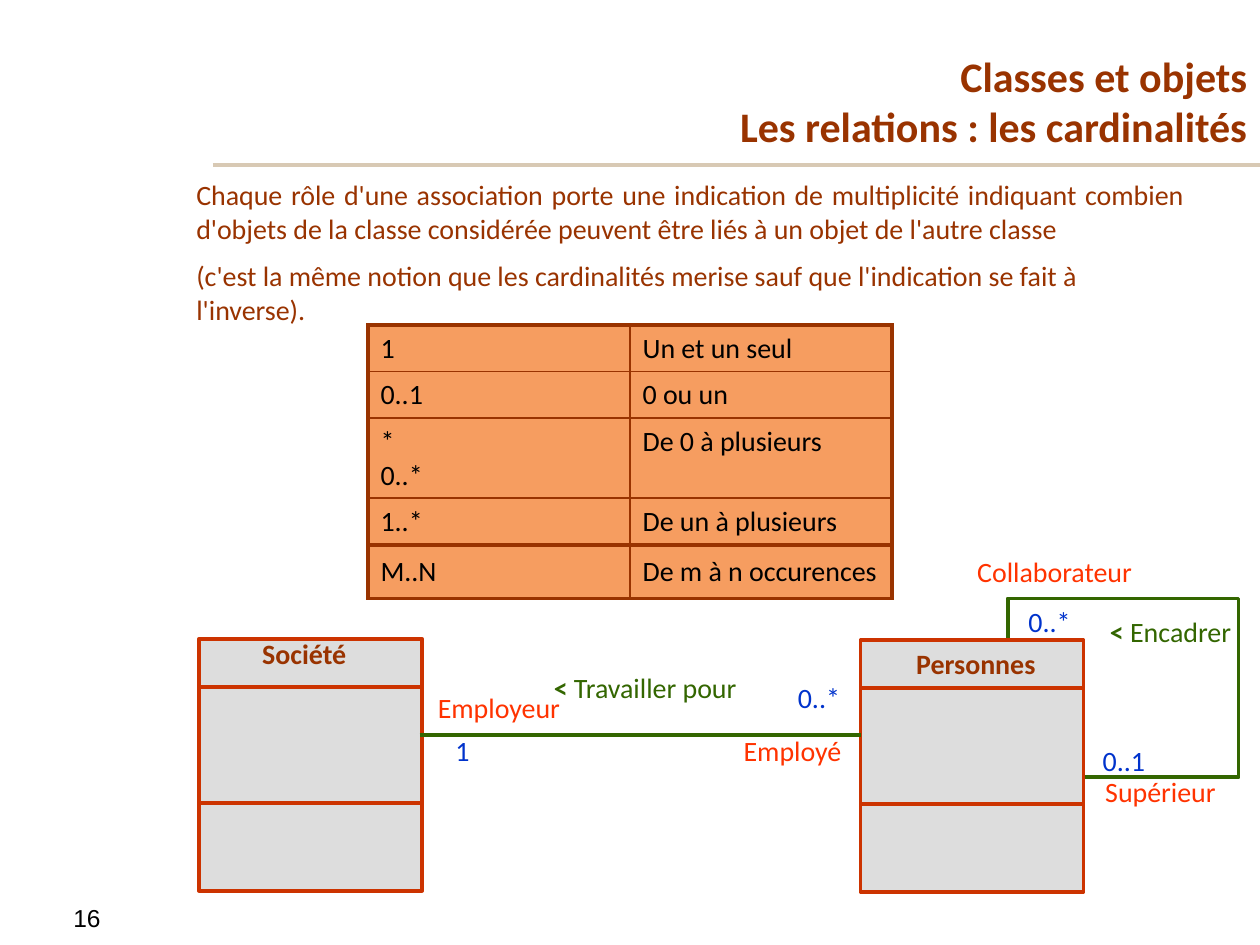
from lxml import etree
from pptx import Presentation
from pptx.dml.color import RGBColor
from pptx.enum import shapes, text
from pptx.oxml.ns import qn
from pptx.util import Inches, Pt

COLORS = {
    "rule": "D8C9B4", "brown": "993300", "black": "000000", "green": "336600",
    "role": "FF3300", "blue": "0033CC", "box": "DDDDDD", "edge": "CC3300",
    "cell": "F69D60",
}
TITLE = "Classes et objets\vLes relations : les cardinalités"
BODY = [
    ("Chaque rôle d'une association porte une indication de multiplicité "
     "indiquant combien d'objets de la classe considérée peuvent être liés "
     "à un objet de l'autre classe", text.PP_ALIGN.JUSTIFY),
    ("(c'est la même notion que les cardinalités merise sauf que "
     "l'indication se fait à l'inverse).", text.PP_ALIGN.LEFT),
]
TABLES = [
    (2.58, [0.37, 0.37, 0.63, 0.37], text.MSO_ANCHOR.TOP, [
        ("1", "Un et un seul"),
        ("0..1", "0 ou un"),
        ("*\v0..*", "De 0 à plusieurs"),
        ("1..*", "De un à plusieurs"),
    ]),
    (4.33, [0.42], text.MSO_ANCHOR.MIDDLE, [("M..N", "De m à n occurences")]),
]
TABLE_LEFT, COLUMN_WIDTH = 2.92, 2.08
CLASSES = [(1.58, 5.07), (6.83, 5.08)]
CLASS_NAMES = [("Société", 1.83, 5, 1.17), ("Personnes", 7.08, 5.08, 1.33)]
ROLES = [
    ("Supérieur", 8.5, 6.1, 1.42),
    ("Collaborateur", 7.58, 4.35, 1.58),
    ("Employeur", 3.25, 5.43, 1.42),
    ("Employé", 5.58, 5.77, 1.42),
]
ASSOCIATIONS = [("Encadrer", 7.75, 4.83), ("Travailler pour", 3.58, 5.27)]
CARDINALITIES = [
    ("0..*", 6, 5.35), ("1", 3.17, 5.77), ("0..1", 8.42, 5.85), ("0..*", 7.83, 4.75),
]

prs = Presentation()
prs.slide_width, prs.slide_height = Inches(10), Inches(7.5)
slide = prs.slides.add_slide(prs.slide_layouts[5])


def rgb(name):
    return RGBColor.from_string(COLORS[name])


def write(p, content, color="brown", size=16, bold=False, font="Calibri",
          align=text.PP_ALIGN.LEFT, before=0):
    p.alignment, p.space_before = align, Pt(before)
    for i, part in enumerate(content.split("\v")):
        if i:
            p.add_line_break()
        r = p.add_run()
        r.text = part
        r.font.name, r.font.size, r.font.bold = font, Pt(size), bold
        r.font.color.rgb = rgb(color)


def add_box(left, top, width, height=0.37):
    sp = slide.shapes.add_textbox(*map(Inches, (left, top, width, height)))
    sp.text_frame.word_wrap = True
    return sp.text_frame


def add_label(content, left, top, width, **style):
    p = add_box(left, top, width).paragraphs[0]
    write(p, content, align=text.PP_ALIGN.CENTER, **style)


def add_rect(left, top, width, height, edge, fill=None):
    sp = slide.shapes.add_shape(
        shapes.MSO_SHAPE.RECTANGLE, *map(Inches, (left, top, width, height)))
    sp.shadow.inherit = False
    if fill:
        sp.fill.solid()
        sp.fill.fore_color.rgb = rgb(fill)
    else:
        sp.fill.background()
    sp.line.color.rgb, sp.line.width = rgb(edge), Pt(2.25)


def add_line(x1, x2, y, color, width):
    line = slide.shapes.add_connector(
        shapes.MSO_CONNECTOR.STRAIGHT, *map(Inches, (x1, y, x2, y)))
    line.line.color.rgb, line.line.width = rgb(color), Pt(width)
    etree.SubElement(line._element.spPr, qn("a:effectLst"))


def set_borders(cell, widths):
    tc_pr = cell._tc.get_or_add_tcPr()
    for side, width in widths.items():
        ln = etree.SubElement(tc_pr, qn("a:ln" + side), w=str(Pt(width)))
        fill = etree.SubElement(ln, qn("a:solidFill"))
        etree.SubElement(fill, qn("a:srgbClr"), val=COLORS["brown"])


def add_table(top, heights, anchor, rows):
    frame = slide.shapes.add_table(
        len(rows), 2, Inches(TABLE_LEFT), Inches(top),
        Inches(2 * COLUMN_WIDTH), Inches(sum(heights)))
    table = frame.table
    table.first_row = table.horz_banding = False
    for column in table.columns:
        column.width = Inches(COLUMN_WIDTH)
    last = len(rows) - 1
    for i, row in enumerate(rows):
        table.rows[i].height = Inches(heights[i])
        for j, content in enumerate(row):
            cell = table.cell(i, j)
            outer = {"L": j == 0, "R": j == 1, "T": i == 0, "B": i == last}
            set_borders(cell, {s: 2.25 if o else 1 for s, o in outer.items()})
            cell.fill.solid()
            cell.fill.fore_color.rgb = rgb("cell")
            cell.vertical_anchor = anchor
            write(cell.text_frame.paragraphs[0], content, color="black")


title = slide.shapes.title
title.left, title.top, title.width, title.height = map(Inches, (3.65, 0.5, 6.35, 0.75))
tf = title.text_frame
tf.auto_size, tf.vertical_anchor = text.MSO_AUTO_SIZE.NONE, text.MSO_ANCHOR.BOTTOM
write(tf.paragraphs[0], TITLE, size=24, bold=True, align=text.PP_ALIGN.RIGHT)

add_line(1.69, 10, 1.31, "rule", 2)
add_label("16", 0, 7.12, 1.38, color="black", size=14, font="Arial")

tf = add_box(1.46, 1.36, 8.04, 1.57)
for i, (content, align) in enumerate(BODY):
    p = tf.add_paragraph() if i else tf.paragraphs[0]
    write(p, content, align=align, before=8 * i)

add_rect(8, 4.75, 1.83, 1.42, "green")
for left, top in CLASSES:
    add_rect(left, top, 1.77, 2, "edge", "box")
    add_rect(left, top + 0.38, 1.77, 0.92, "edge", "box")
add_line(3.33, 6.83, 5.83, "green", 2.25)

for table in TABLES:
    add_table(*table)
for name in CLASS_NAMES:
    add_label(*name, bold=True)
for role in ROLES:
    add_label(*role, color="role")
for cardinality in CARDINALITIES:
    add_label(*cardinality, 1, color="blue")
for name, left, top in ASSOCIATIONS:
    p = add_box(left, top, 3.08).paragraphs[0]
    write(p, "< ", color="green", bold=True)
    write(p, name, color="green", align=text.PP_ALIGN.CENTER)

prs.save("out.pptx")
